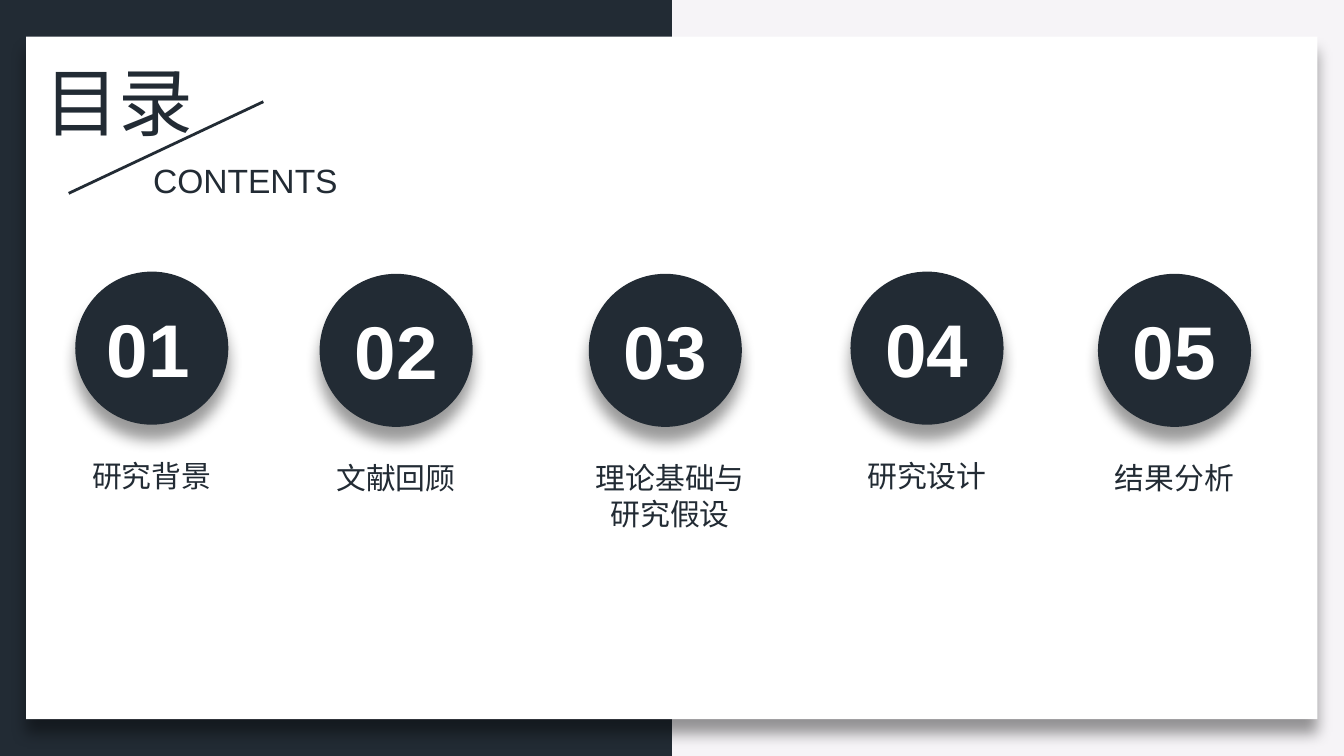
"""Build the contents slide with five numbered topics."""
from dataclasses import dataclass

from lxml.etree import SubElement
from pptx import Presentation
from pptx.dml.color import RGBColor
from pptx.enum.shapes import MSO_CONNECTOR, MSO_SHAPE
from pptx.enum.text import MSO_AUTO_SIZE, PP_ALIGN
from pptx.oxml.ns import qn
from pptx.shapes.autoshape import Shape
from pptx.slide import Slide
from pptx.util import Pt

DARK = "222B34"
PALE = "F6F4F7"
WHITE = "FFFFFF"
HAN = "Noto Sans CJK SC"
DISC = 82


@dataclass(frozen=True)
class Box:
    """A place on the slide, in points."""
    left: float
    top: float
    width: float
    height: float


@dataclass(frozen=True)
class Topic:
    """A numbered topic, placed by the centre and top of its disc."""
    label: str
    mid: float
    top: float
    width: float = 79.2
    shift: float = 0
    nudge: float = 0
    wrap: bool = False


TOPICS = [
    Topic("研究背景", 81.3, 145.5, nudge=-1.8),
    Topic("文献回顾", 212.2, 146.7),
    Topic("理论基础与研究假设", 356.4, 146.7, 105.1, 2.7, wrap=True),
    Topic("研究设计", 496.6, 145.5),
    Topic("结果分析", 629.2, 146.7),
]


def color(code: str) -> RGBColor:
    """Turn a hex string into a colour."""
    return RGBColor.from_string(code)


def add_shade(shape: Shape) -> None:
    """Give a shape a soft shadow below it."""
    effects = shape._element.spPr.find(qn("a:effectLst"))
    shade = SubElement(effects, qn("a:outerShdw"), blurRad=str(Pt(8)),
                       dist=str(Pt(8)), dir="5400000", algn="t", rotWithShape="0")
    tint = SubElement(shade, qn("a:srgbClr"), val="000000")
    SubElement(tint, qn("a:alpha"), val="40000")


def add_form(slide: Slide, kind: MSO_SHAPE, box: Box, fill: str, shade: bool = True) -> None:
    """Draw a filled shape without an outline."""
    shape = slide.shapes.add_shape(
        kind, Pt(box.left), Pt(box.top), Pt(box.width), Pt(box.height))
    shape.fill.solid()
    shape.fill.fore_color.rgb = color(fill)
    shape.line.fill.background()
    shape.shadow.inherit = False
    if shade:
        add_shade(shape)


def add_text(slide: Slide, box: Box, text: str, size: float, face: str, ink: str = DARK,
             bold: bool = False, align: PP_ALIGN = PP_ALIGN.CENTER, wrap: bool = False) -> None:
    """Add a text box holding one run."""
    frame = slide.shapes.add_textbox(
        Pt(box.left), Pt(box.top), Pt(box.width), Pt(box.height)).text_frame
    frame.word_wrap = wrap
    frame.auto_size = MSO_AUTO_SIZE.SHAPE_TO_FIT_TEXT
    line = frame.paragraphs[0]
    line.alignment = align
    run = line.add_run()
    run.text = text
    run.font.size = Pt(size)
    run.font.bold = bold
    run.font.name = face
    run.font.color.rgb = color(ink)
    SubElement(run._r.get_or_add_rPr(), qn("a:ea"), typeface=HAN)


def add_slash(slide: Slide) -> None:
    """Draw the slanted line between the two titles."""
    line = slide.shapes.add_connector(
        MSO_CONNECTOR.STRAIGHT, Pt(141.1), Pt(54.5), Pt(36.8), Pt(103.6))
    line.line.color.rgb = color(DARK)
    line.line.width = Pt(1.5)
    SubElement(line._element.spPr, qn("a:effectLst"))


def add_topic(slide: Slide, topic: Topic) -> None:
    """Draw a topic's disc and label."""
    add_form(slide, MSO_SHAPE.OVAL, Box(topic.mid - DISC / 2, topic.top, DISC, DISC), DARK)
    left = topic.mid + topic.shift - topic.width / 2
    height = 46 if topic.wrap else 26.6
    add_text(slide, Box(left, topic.top + 96.2, topic.width, height),
             topic.label, 16, HAN, wrap=topic.wrap)


def add_count(slide: Slide, topic: Topic, count: int) -> None:
    """Write a topic's number on its disc."""
    box = Box(topic.mid + topic.nudge - 29.9, topic.top + 13, 59.8, 55.4)
    add_text(slide, box, f"{count:02}", 40, "Arial", WHITE, True)


def main() -> None:
    """Build and save the slide."""
    deck = Presentation()
    deck.slide_width, deck.slide_height = Pt(720), Pt(405)
    slide = deck.slides.add_slide(deck.slide_layouts[6])
    back = slide.background.fill
    back.solid()
    back.fore_color.rgb = color(PALE)
    add_form(slide, MSO_SHAPE.RECTANGLE, Box(0, 0, 360, 405), DARK, False)
    add_form(slide, MSO_SHAPE.RECTANGLE, Box(14, 19.7, 691.8, 365.6), WHITE)
    add_text(slide, Box(16.6, 26.6, 95, 55.4), "目录", 40, "Calibri", align=PP_ALIGN.LEFT)
    add_slash(slide)
    add_text(slide, Box(74.9, 82.1, 114.5, 28.8), "CONTENTS", 18, "Arial", align=PP_ALIGN.LEFT)
    for topic in TOPICS:
        add_topic(slide, topic)
    for count, topic in enumerate(TOPICS, 1):
        add_count(slide, topic, count)
    deck.save("out.pptx")


if __name__ == "__main__":
    main()
